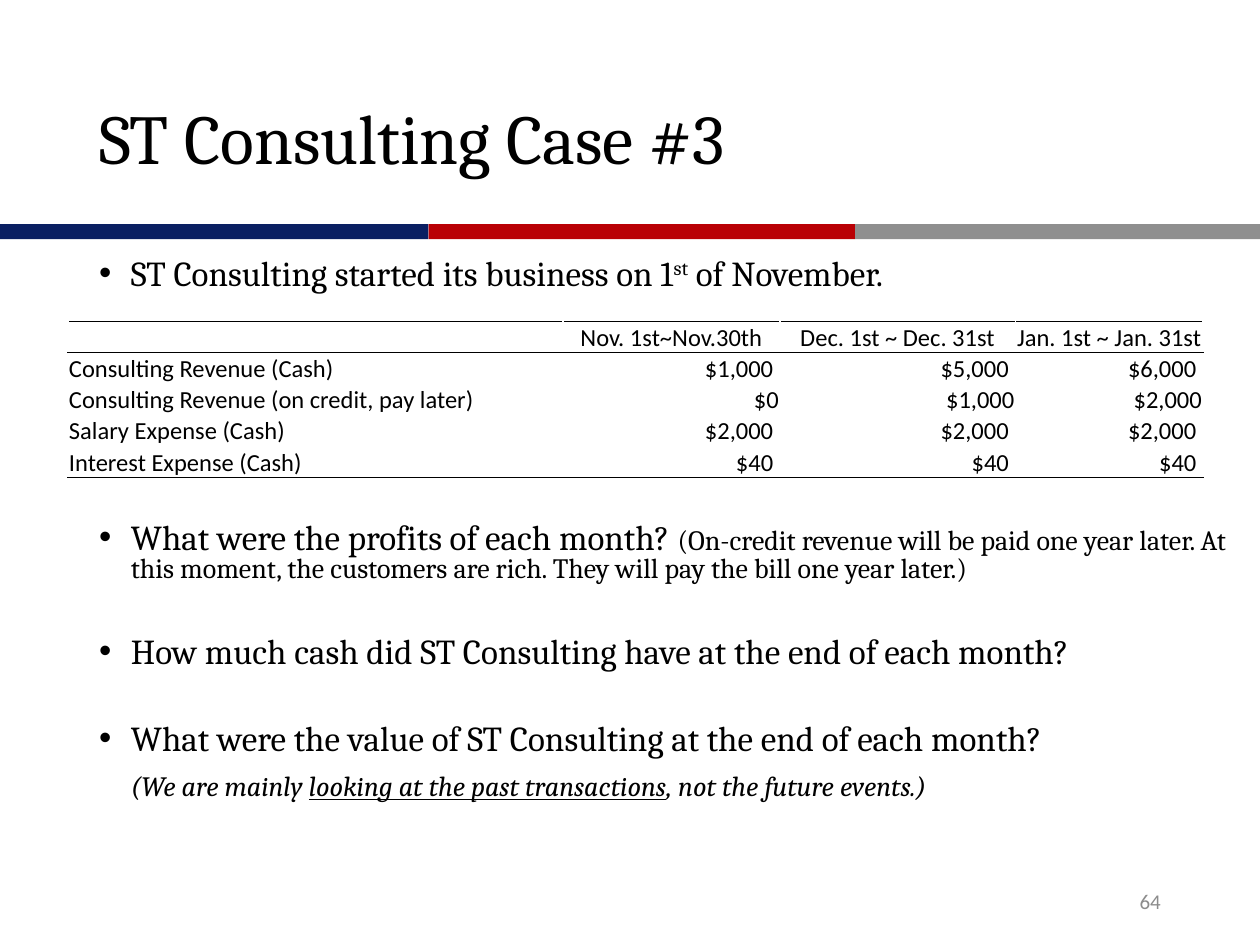
from lxml import etree
from pptx import Presentation
from pptx.dml.color import RGBColor
from pptx.enum import shapes, text
from pptx.oxml import ns
from pptx.util import Cm, Pt

HUES = {"ink": "000000", "white": "FFFFFF", "navy": "0A1F62",
        "red": "B90005", "gray": "8F8F8F", "page": "8C8C8C"}
HEAD = ["", "Nov. 1st~Nov.30th", "Dec. 1st ~ Dec. 31st", "Jan. 1st ~ Jan. 31st"]
ROWS = [
    ["Consulting Revenue (Cash)", "$1,000 ", "$5,000 ", "$6,000 "],
    ["Consulting Revenue (on credit, pay later)", "$0", "$1,000", "$2,000"],
    ["Salary Expense (Cash)", "$2,000 ", "$2,000 ", "$2,000 "],
    ["Interest Expense (Cash)", "$40 ", "$40 ", "$40 "],
]
ALIGN = text.PP_ALIGN


def hue(name):
    """Return the named colour."""
    return RGBColor.from_string(HUES[name])


def node(parent, tag, **attrs):
    """Append a drawing element with its attributes."""
    return etree.SubElement(parent, ns.qn("a:" + tag), attrs)


def write(para, words, size=20, face="Cambria", color="ink",
          italic=None, under=None, raised=False):
    """Add one formatted run to a paragraph."""
    run = para.add_run()
    run.text = words
    font = run.font
    font.size, font.name = Pt(size), face
    font.italic, font.underline = italic, under
    font.color.rgb = hue(color)
    if raised:
        run._r.get_or_add_rPr().set("baseline", "30000")


def frame(slide, box, anchor=text.MSO_ANCHOR.TOP):
    """Add a wrapping text box and return its text frame."""
    area = slide.shapes.add_textbox(*map(Cm, box)).text_frame
    area.word_wrap = True
    area.vertical_anchor = anchor
    return area


def title(slide, box):
    """Place the slide title."""
    para = frame(slide, box, text.MSO_ANCHOR.MIDDLE).paragraphs[0]
    para.line_spacing = 0.9
    write(para, "ST Consulting Case #3", size=40)


def stripe(slide, box):
    """Place the three-colour band under the title."""
    left, top, width, height = box
    stops = [0, 8.64, 17.24, width]
    for start, end, name in zip(stops, stops[1:], ("navy", "red", "gray")):
        bar = slide.shapes.add_shape(
            shapes.MSO_SHAPE.RECTANGLE,
            *map(Cm, (left + start, top, end - start, height)))
        bar.shadow.inherit = False
        bar.fill.solid()
        bar.fill.fore_color.rgb = hue(name)
        bar.line.fill.background()


def body(slide, box):
    """Place the opening statement and the questions around the table."""
    small, note = {"size": 16}, {"size": 16, "italic": True}
    items = [
        (True, 20, 0, 126, [("ST Consulting started its business on 1", {}),
                            ("st", {"raised": True}), (" of November.", {})]),
        (True, 15, 10, 0, [
            ("What were the profits of each month? ", {}),
            ("(On-credit revenue will be paid one year later. At this moment, "
             "the customers are rich. They will pay the bill one year later.)",
             small)]),
        (True, 15, 35, 0, [("How much cash did ST Consulting have at the end "
                            "of each month?", {})]),
        (True, 15, 35, 0, [("What were the value of ST Consulting at the end "
                            "of each month?", {})]),
        (False, 15, 10, 0, [("(We are mainly ", note),
                            ("looking at the past transactions",
                             {**note, "under": True}),
                            (", not the future events.)", note)]),
    ]
    area = frame(slide, box)
    for i, (dot, line, before, after, runs) in enumerate(items):
        para = area.add_paragraph() if i else area.paragraphs[0]
        para.line_spacing = Pt(line)
        para.space_before, para.space_after = Pt(before), Pt(after)
        props = para._p.get_or_add_pPr()
        props.set("marL", str(Cm(0.64)))
        props.set("indent", str(Cm(-0.64 if dot else 0)))
        if dot:
            node(props, "buFont", typeface="Arial")
            node(props, "buChar", char="•")
        else:
            node(props, "buNone")
        for words, look in runs:
            write(para, words, **look)


def border(cell, top, bottom):
    """Draw the cell borders, with white sides."""
    props = cell._tc.get_or_add_tcPr()
    for side, name in zip("LRTB", ("white", "white", top, bottom)):
        line = node(props, "ln" + side, w=str(Pt(1)))
        node(node(line, "solidFill"), "srgbClr", val=HUES[name])


def ledger(slide, box):
    """Place the table of monthly revenue and expense."""
    left, top, widths, height = box
    data = [HEAD] + ROWS
    last = len(data) - 1
    grid = slide.shapes.add_table(
        len(data), len(widths),
        *map(Cm, (left, top, sum(widths), height * len(data)))).table
    grid.first_row = grid.horz_banding = False
    for col, width in zip(grid.columns, widths):
        col.width = Cm(width)
    for i, row in enumerate(data):
        grid.rows[i].height = Cm(height)
        for j, words in enumerate(row):
            cell = grid.cell(i, j)
            cell.margin_left = cell.margin_right = cell.margin_top = Cm(0.02)
            cell.margin_bottom = 0
            cell.vertical_anchor = text.MSO_ANCHOR.MIDDLE
            border(cell, "ink" if i < 2 else "white",
                   "ink" if i in (0, last) else "white")
            cell.fill.background()
            para = cell.text_frame.paragraphs[0]
            para.alignment = (ALIGN.CENTER if i == 0 else
                              ALIGN.RIGHT if j else ALIGN.LEFT)
            if words:
                write(para, words, size=14, face="Calibri")
            else:
                node(para._p, "endParaRPr", sz="1400")


def folio(slide, box):
    """Place the page number."""
    para = frame(slide, box, text.MSO_ANCHOR.MIDDLE).paragraphs[0]
    para.alignment = ALIGN.RIGHT
    write(para, "64", size=12, face="Calibri", color="page")


def main():
    """Build and save the slide."""
    deck = Presentation()
    deck.slide_width, deck.slide_height = Cm(25.4), Cm(19.05)
    slide = deck.slides.add_slide(deck.slide_layouts[6])
    stripe(slide, (0, 4.52, 25.4, 0.3))
    title(slide, (1.75, 1.02, 22.53, 3.68))
    body(slide, (1.75, 5.08, 23.37, 12.09))
    folio(slide, (17.93, 17.65, 5.72, 1.02))
    ledger(slide, (1.37, 6.48, (9.98, 4.37, 4.75, 3.78), 0.63))
    deck.save("out.pptx")


if __name__ == "__main__":
    main()
